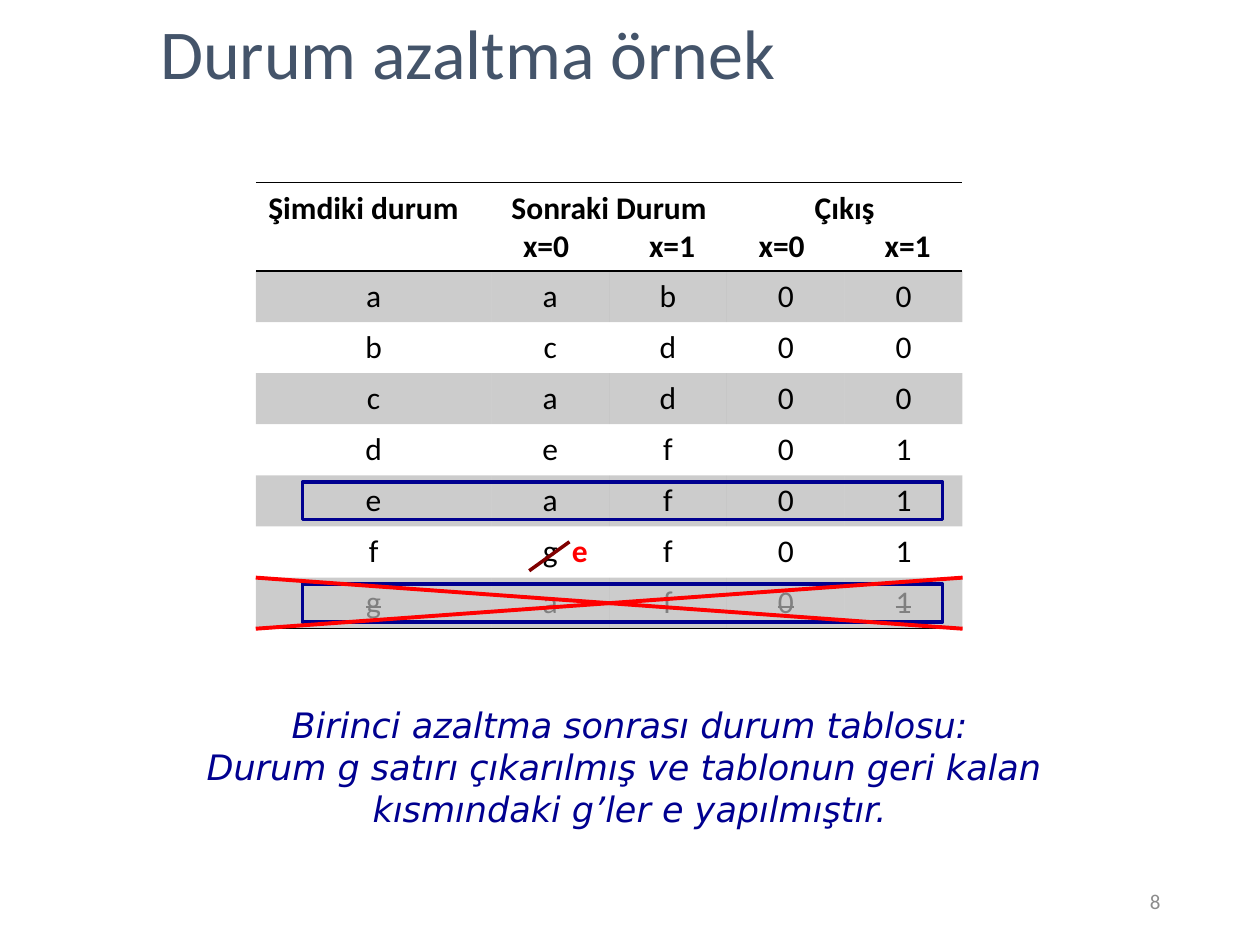
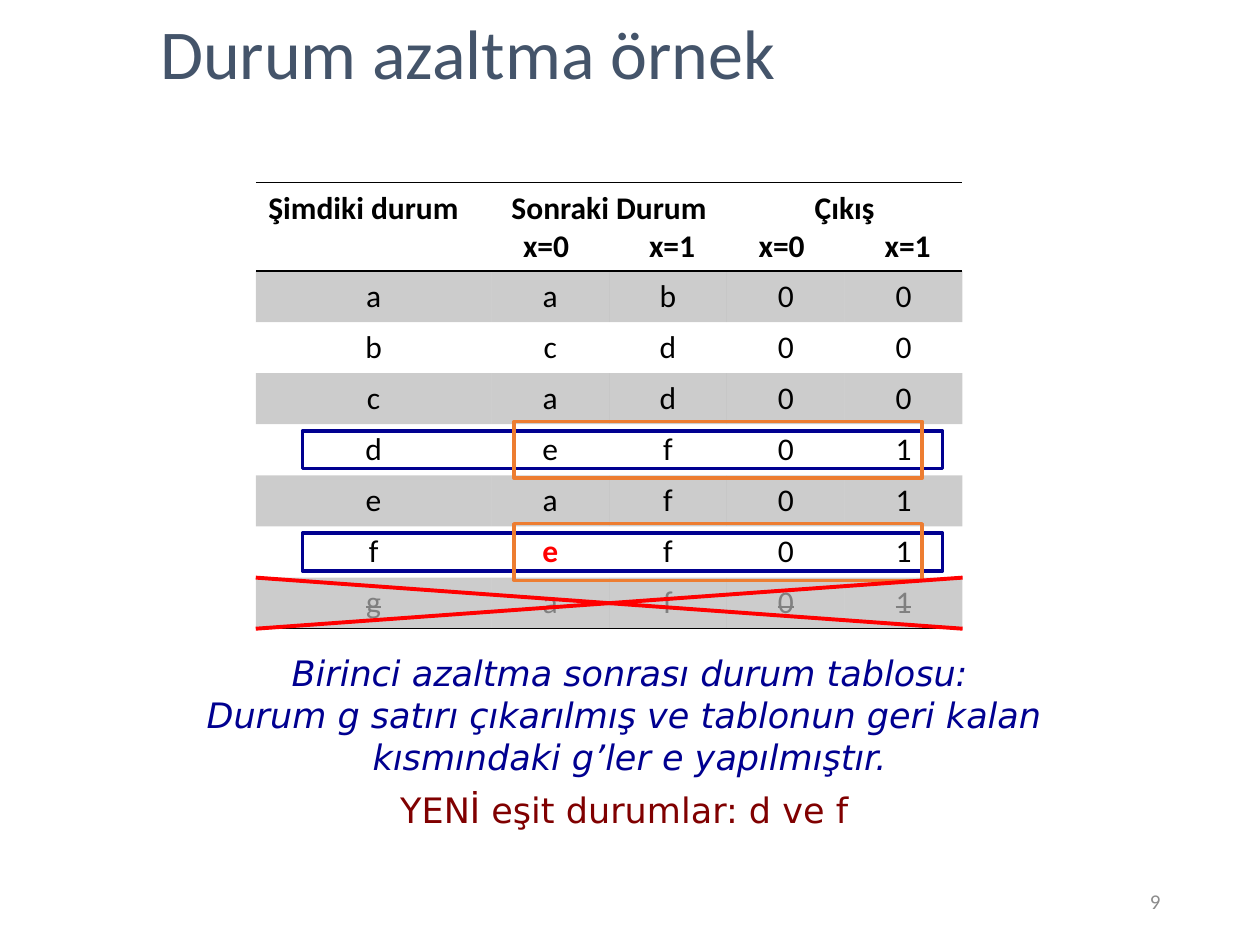
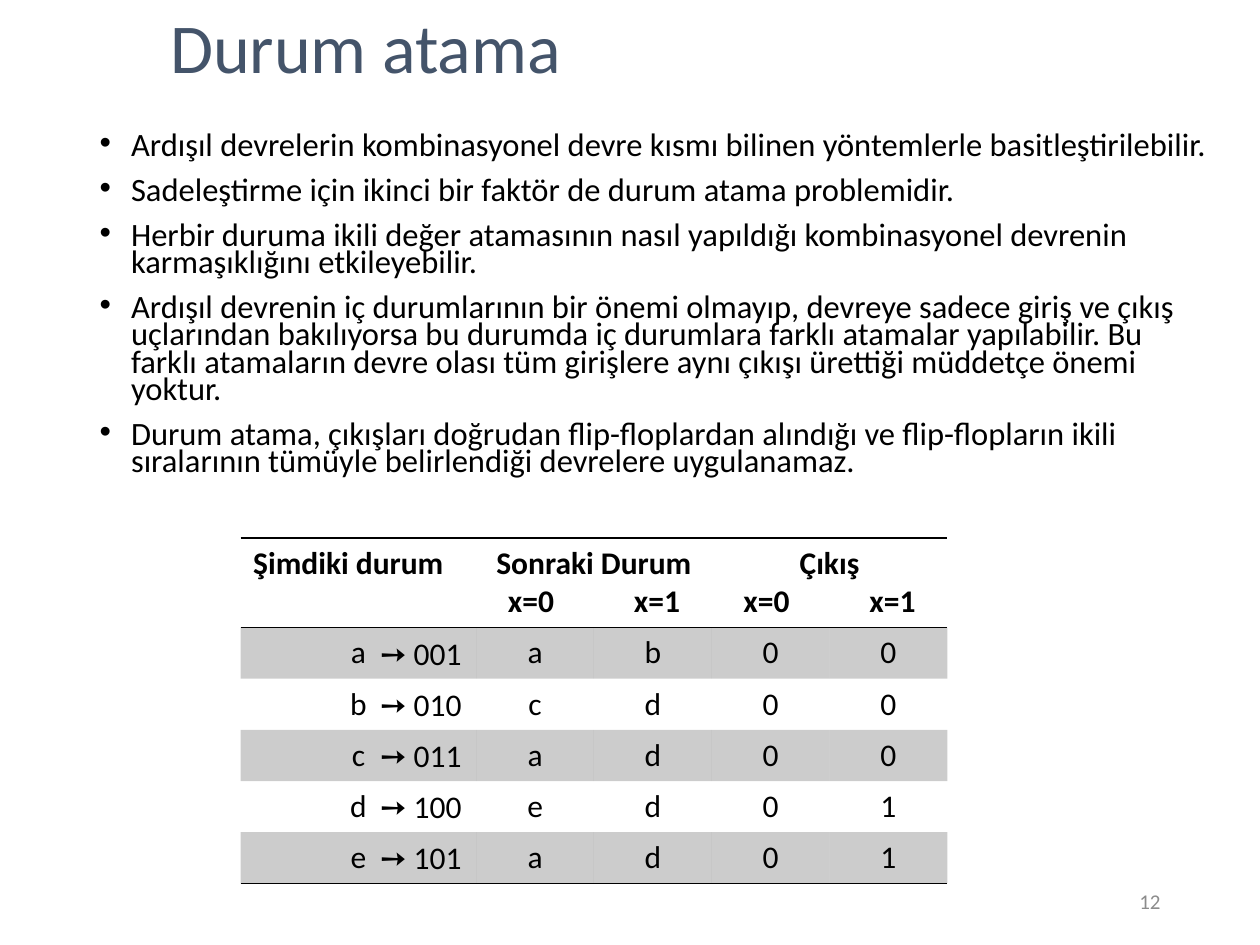
from dataclasses import dataclass

from lxml import etree
from pptx import Presentation
from pptx.dml.color import RGBColor
from pptx.enum.shapes import MSO_CONNECTOR, MSO_SHAPE
from pptx.enum.text import MSO_ANCHOR, MSO_AUTO_SIZE, PP_ALIGN
from pptx.oxml.ns import qn
from pptx.util import Inches, Pt

LEFT, CENTER, RIGHT = PP_ALIGN.LEFT, PP_ALIGN.CENTER, PP_ALIGN.RIGHT
TOP, MIDDLE, BOTTOM = MSO_ANCHOR.TOP, MSO_ANCHOR.MIDDLE, MSO_ANCHOR.BOTTOM
NO_AUTOFIT = MSO_AUTO_SIZE.NONE
RECT, STRAIGHT = MSO_SHAPE.RECTANGLE, MSO_CONNECTOR.STRAIGHT
TITLE_AND_BODY, TITLE_ONLY = 1, 5
PLAIN_TABLE = "{2D5ABB26-0587-4C30-8999-92F81FD0307C}"


@dataclass(frozen=True)
class Theme:
    font: str = "Calibri"
    note_font: str = "DejaVu Sans"
    title: str = "44546A"
    ink: str = "000000"
    number: str = "8C8C8C"
    gone: str = "808080"
    navy: str = "000090"
    maroon: str = "800000"
    red: str = "FF0000"
    orange: str = "ED7D31"
    title_size: float = 40
    note_size: float = 20
    body_size: float = 18.6
    cell_size: float = 18
    number_size: float = 12
    band_alpha: int = 20000


@dataclass(frozen=True)
class Box:
    left: float
    top: float
    width: float
    height: float

    def inches(self):
        return [Inches(v) for v in (self.left, self.top, self.width, self.height)]

    @property
    def right(self):
        return self.left + self.width

    @property
    def bottom(self):
        return self.top + self.height


T = Theme()
HEADER_H = 0.7
HEADERS = ["Şimdiki durum", "Sonraki Durum", "Çıkış"]
STATES = ["aab00", "bcd00", "cad00", "def01", "eaf01", "fef01", "gaf01"]
ASSIGNED = ["aab00", "bcd00", "cad00", "ded01", "ead01"]
CODES = ["➙ 001", "➙ 010", "➙ 011", "➙ 100", "➙ 101"]
STATE_BOX = Box(2.03, 1.45, 5.61, 3.54)
TITLE_BOX = Box(1.17, 0.13, 8.5, 0.67)
REDUCTION_NOTE = [
    "Birinci azaltma sonrası durum tablosu:",
    "Durum g satırı çıkarılmış ve tablonun geri kalan ",
    "kısmındaki g’ler e yapılmıştır.",
]
ASSIGNMENT_POINTS = [
    "Ardışıl devrelerin kombinasyonel devre kısmı bilinen yöntemlerle basitleştirilebilir.",
    "Sadeleştirme için ikinci bir faktör de durum atama problemidir.",
    "Herbir duruma ikili değer atamasının nasıl yapıldığı kombinasyonel devrenin "
    "karmaşıklığını etkileyebilir.",
    "Ardışıl devrenin iç durumlarının bir önemi olmayıp, devreye sadece giriş ve çıkış "
    "uçlarından bakılıyorsa bu durumda iç durumlara farklı atamalar yapılabilir. Bu "
    "farklı atamaların devre olası tüm girişlere aynı çıkışı ürettiği müddetçe önemi yoktur.",
    "Durum atama, çıkışları doğrudan flip-floplardan alındığı ve flip-flopların ikili "
    "sıralarının tümüyle belirlendiği devrelere uygulanamaz.",
]


# Text
def style_run(r, size=T.cell_size, font=T.font, color=T.ink, bold=False,
              italic=False, strike=False):
    r.font.size, r.font.name = Pt(size), font
    r.font.bold, r.font.italic = bold, italic
    r.font.color.rgb = RGBColor.from_string(color)
    if strike:
        r.font._element.set("strike", "sngStrike")


def write(tf, lines, align=LEFT, anchor=TOP, spacing=None, before=None,
          hanging=None, tab=None, **fmt):
    """Each line is a string or a list of (text, format changes) runs."""
    tf.vertical_anchor = anchor
    for i, line in enumerate(lines):
        p = tf.add_paragraph() if i else tf.paragraphs[0]
        p.alignment = align
        if spacing:
            p.line_spacing = spacing
        if before:
            p.space_before = Pt(before)
        pPr = p._p.get_or_add_pPr()
        if hanging:
            pPr.set("marL", str(Inches(hanging)))
            pPr.set("indent", str(-Inches(hanging)))
        if tab:
            stops = etree.SubElement(pPr, qn("a:tabLst"))
            etree.SubElement(stops, qn("a:tab"), pos=str(Inches(tab)), algn="l")
        for text, changes in [(line, {})] if isinstance(line, str) else line:
            r = p.add_run()
            r.text = text
            style_run(r, **{**fmt, **changes})


def place(sp, box):
    sp.left, sp.top, sp.width, sp.height = box.inches()
    sp.text_frame.word_wrap = True
    sp.text_frame.auto_size = NO_AUTOFIT


def add_note(slide, box, lines, **fmt):
    tf = slide.shapes.add_textbox(*box.inches()).text_frame
    tf.word_wrap = True
    tf.margin_left = tf.margin_right = tf.margin_top = tf.margin_bottom = 0
    write(tf, lines, align=CENTER, font=T.note_font, size=T.note_size, **fmt)


# Title and slide number shared by all slides
def new_slide(prs, layout, title, number, title_box=TITLE_BOX):
    slide = prs.slides.add_slide(prs.slide_layouts[layout])
    place(slide.shapes.title, title_box)
    write(slide.shapes.title.text_frame, [title], anchor=BOTTOM, spacing=0.9,
          size=T.title_size, color=T.title)
    sp = slide.shapes.add_textbox(*Box(7.06, 6.95, 2.25, 0.4).inches())
    place(sp, Box(7.06, 6.95, 2.25, 0.4))
    write(sp.text_frame, [number], align=RIGHT, anchor=MIDDLE,
          size=T.number_size, color=T.number)
    return slide


# Tables
def add_plain_table(slide, box, rows, cols):
    table = slide.shapes.add_table(rows, cols, *box.inches()).table
    table.first_row = table.horz_banding = False
    table._tbl.tblPr.find(qn("a:tableStyleId")).text = PLAIN_TABLE
    for cell in table.iter_cells():
        cell.fill.background()
    return table


def shade(cell):
    cell.fill.solid()
    cell.fill.fore_color.rgb = RGBColor.from_string(T.ink)
    color = cell._tc.tcPr.find(".//" + qn("a:srgbClr"))
    etree.SubElement(color, qn("a:alpha"), val=str(T.band_alpha))


def rule_cell(cell, *sides):
    for i, side in enumerate(sides):
        ln = etree.Element(qn("a:" + side), w=str(Pt(1)))
        fill = etree.SubElement(ln, qn("a:solidFill"))
        etree.SubElement(fill, qn("a:srgbClr"), val=T.ink)
        cell._tc.get_or_add_tcPr().insert(i, ln)


def add_state_table(slide, box, states, gone=None, special=None):
    """special maps (row, column) to the runs, left inset and tab of that cell."""
    special = special or {}
    table = add_plain_table(slide, box, len(states) + 1, 5)
    for i, col in enumerate(table.columns):
        col.width = Inches(box.width / (6 if i else 3))
    for i, row in enumerate(table.rows):
        row.height = Inches((box.height - HEADER_H) / len(states) if i else HEADER_H)

    # Header row
    for c in range(5):
        rule_cell(table.cell(0, c), "lnT", "lnB")
    write(table.cell(0, 0).text_frame, HEADERS[:1], bold=True)
    for c, heading in zip((1, 3), HEADERS[1:]):
        table.cell(0, c).merge(table.cell(0, c + 1))
        write(table.cell(0, c).text_frame, [heading, "x=0\tx=1"], align=CENTER,
              tab=1, bold=True)

    # State rows
    for r, values in enumerate(states, 1):
        fmt = {"color": T.gone, "strike": True} if values[0] == gone else {}
        for c, value in enumerate(values):
            cell = table.cell(r, c)
            if r % 2:
                shade(cell)
            if r == len(states):
                rule_cell(cell, "lnB")
            runs, inset, tab = special.get((r, c), (value, None, None))
            if inset:
                cell.margin_left = Inches(inset)
            write(cell.text_frame, [runs], align=LEFT if inset else CENTER,
                  tab=tab, **fmt)


def add_code_column(slide, box, codes):
    table = add_plain_table(slide, box, len(codes), 1)
    for r, code in enumerate(codes):
        table.rows[r].height = Inches(box.height / len(codes))
        write(table.cell(r, 0).text_frame, [code], align=CENTER)


# Marks on the state table
def row_box(row):
    height = (STATE_BOX.height - HEADER_H) / len(STATES)
    top = STATE_BOX.top + HEADER_H + (row - 1) * height
    return Box(STATE_BOX.left, top, STATE_BOX.width, height)


def outline_row(slide, row, left=2.4, width=5.08, height=0.3, color=T.navy):
    band = row_box(row)
    box = Box(left, band.top + (band.height - height) / 2, width, height)
    sp = slide.shapes.add_shape(RECT, *box.inches())
    sp.shadow.inherit = False
    sp.fill.background()
    sp.line.color.rgb = RGBColor.from_string(color)
    sp.line.width = Pt(2)


def add_line(slide, x1, y1, x2, y2, color, width):
    line = slide.shapes.add_connector(STRAIGHT, *[Inches(v) for v in (x1, y1, x2, y2)])
    line.line.color.rgb = RGBColor.from_string(color)
    line.line.width = Pt(width)
    etree.SubElement(line._element.spPr, qn("a:effectLst"))


def cross_out_row(slide, row):
    box = row_box(row)
    for y1, y2 in ((box.bottom, box.top), (box.top, box.bottom)):
        add_line(slide, box.left, y1, box.right, y2, T.red, 2.25)


# Slides
def first_reduction(prs):
    slide = new_slide(prs, TITLE_ONLY, "Durum azaltma örnek", "8")
    add_note(slide, Box(0, 5.58, 10, 1.01), REDUCTION_NOTE, color=T.navy, italic=True)
    replaced = [("g\t", {}), ("e", {"color": T.red, "bold": True})]
    add_state_table(slide, STATE_BOX, STATES, gone="g",
                    special={(6, 1): (replaced, 0.41, 0.23)})
    add_line(slide, 4.2, 4.53, 4.52, 4.3, T.maroon, 2)
    for row in (7, 5):
        outline_row(slide, row)
    cross_out_row(slide, 7)


def new_equal_states(prs):
    slide = new_slide(prs, TITLE_ONLY, "Durum azaltma örnek", "9")
    add_note(slide, Box(0, 5.17, 10, 1.01), REDUCTION_NOTE, color=T.navy, italic=True)
    replaced = [("e", {"color": T.red, "bold": True})]
    add_state_table(slide, STATE_BOX, STATES, gone="g",
                    special={(6, 1): (replaced, None, None)})
    add_note(slide, Box(0, 6.26, 10, 0.34), ["YENİ eşit durumlar: d ve f "],
             color=T.maroon)
    for row in (6, 4):
        outline_row(slide, row)
    for row in (4, 6):
        outline_row(slide, row, left=4.08, width=3.24, height=0.45, color=T.orange)
    cross_out_row(slide, 7)


def state_assignment(prs):
    slide = new_slide(prs, TITLE_AND_BODY, "Durum atama", "12",
                      Box(1.25, 0.08, 8.5, 0.67))
    body = slide.placeholders[1]
    place(body, Box(0.69, 1.02, 9.06, 3.11))
    write(body.text_frame, ASSIGNMENT_POINTS, spacing=0.7, before=10,
          hanging=0.25, size=T.body_size)
    add_state_table(slide, Box(1.91, 4.27, 5.61, 2.73), ASSIGNED)
    add_code_column(slide, Box(2.87, 4.99, 0.94, 2.03), CODES)


def main():
    prs = Presentation()
    prs.slide_width, prs.slide_height = Inches(10), Inches(7.5)
    first_reduction(prs)
    new_equal_states(prs)
    state_assignment(prs)
    prs.save("out.pptx")


if __name__ == "__main__":
    main()
